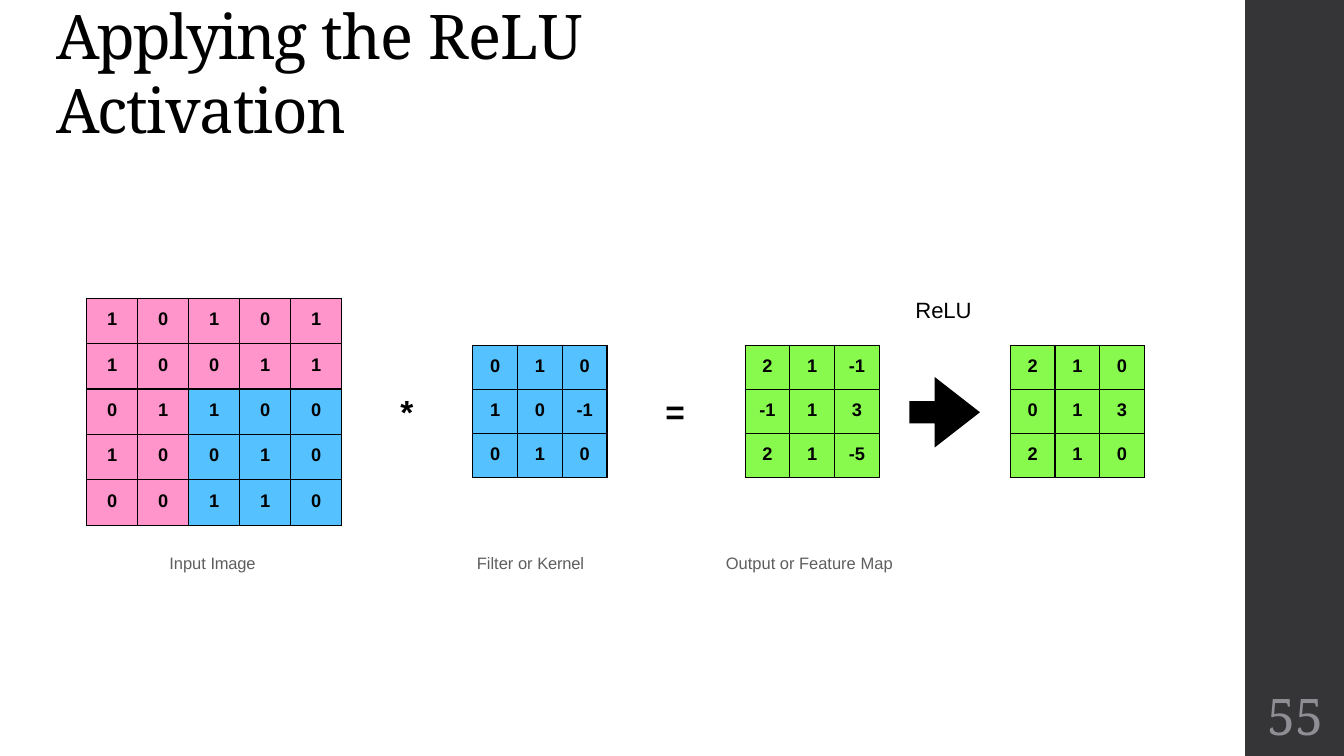
from lxml import etree
from pptx import Presentation
from pptx.dml.color import RGBColor
from pptx.enum.shapes import MSO_SHAPE
from pptx.enum.text import MSO_ANCHOR, PP_ALIGN
from pptx.oxml.ns import qn
from pptx.util import Inches, Pt

# Content
PINK, BLUE, GREEN, BLACK, GREY = "FF95CA", "56C1FF", "88FA4E", "000000", "5E5E5E"
SIDEBAR = (12.35, 0, 1, 7.5)
SIDEBAR_COLOR = "353537"

OPERATOR = {"size": 23.9, "bold": True}
CAPTION = {"size": 11.8, "color": GREY}
# place, runs of (text, letter spacing in points), format
TEXTS = [
    ((0.56, 0.29, 6.97, 0.79),
     [("Applying ", -1.5), ("the ReLU ", -0.5), ("Activation", -0.9)],
     {"size": 44, "font": "Noto Serif", "anchor": MSO_ANCHOR.MIDDLE, "top": 0.05}),
    ((3.97, 3.87, 0.15, 0.41), [("*", 0.1)], OPERATOR),
    ((6.6, 3.87, 0.22, 0.41), [("=", -0.3)], OPERATOR),
    ((1.68, 5.48, 0.9, 0.21), [("Input ", 0), ("Image", -0.1)], CAPTION),
    ((4.73, 5.48, 1.11, 0.21), [("Filter or ", 0), ("Kernel", -0.1)], CAPTION),
    ((7.2, 5.48, 1.72, 0.21), [("Output or Feature ", 0), ("Map", 0.1)], CAPTION),
    ((9.08, 2.93, 0.57, 0.28), [("ReLU", -0.1)], {"size": 15.8}),
    ((12.35, 6.75, 1, 0.65), [("55", 0)],
     {"size": 36, "font": "Noto Serif", "color": "8E8E94", "top": 0.05,
      "anchor": MSO_ANCHOR.MIDDLE, "align": PP_ALIGN.CENTER}),
]

INPUT_IMAGE = [[1, 0, 1, 0, 1], [1, 0, 0, 1, 1], [0, 1, 1, 0, 0],
               [1, 0, 0, 1, 0], [0, 0, 1, 1, 0]]
KERNEL = [[0, 1, 0], [1, 0, -1], [0, 1, 0]]
FEATURE_MAP = [[2, 1, -1], [-1, 1, 3], [2, 1, -5]]
ACTIVATED = [[max(0, value) for value in row] for row in FEATURE_MAP]
WINDOW_START = 2  # first row and column of the highlighted input window

# matrix, place, top cell margin, cell colour, colour of the window
MATRICES = [
    (INPUT_IMAGE, (0.86, 2.96, 2.53, 2.25), 0.11, PINK, BLUE),
    (KERNEL, (4.69, 3.43, 1.33, 1.31), 0.1, BLUE, BLUE),
    (FEATURE_MAP, (7.39, 3.43, 1.33, 1.31), 0.1, GREEN, GREEN),
    (ACTIVATED, (10.02, 3.43, 1.33, 1.31), 0.1, GREEN, GREEN),
]
ARROW = [(9.27, 3.74), (9.27, 3.98), (9.02, 3.98), (9.02, 4.2),
         (9.27, 4.2), (9.27, 4.44), (9.72, 4.09)]


def paint(fill, color):
    fill.solid()
    fill.fore_color.rgb = RGBColor.from_string(color)


def paint_plain(shape, color):
    paint(shape.fill, color)
    shape.line.fill.background()
    shape.shadow.inherit = False


def write(paragraph, runs, size, font="Arial", color=BLACK, bold=False,
          align=PP_ALIGN.LEFT):
    paragraph.alignment = align
    for text, spacing in runs:
        run = paragraph.add_run()
        run.text = text
        for name, value in {"size": Pt(size), "name": font, "bold": bold}.items():
            setattr(run.font, name, value)
        paint(run.font.fill, color)
        run.font._element.set("spc", str(round(spacing * 100)))


def add_text(slide, place, runs, anchor=MSO_ANCHOR.TOP, top=0.01, **style):
    frame = slide.shapes.add_textbox(*map(Inches, place)).text_frame
    settings = {"word_wrap": True, "vertical_anchor": anchor, "margin_left": 0,
                "margin_right": 0, "margin_top": Inches(top), "margin_bottom": 0}
    for name, value in settings.items():
        setattr(frame, name, value)
    write(frame.paragraphs[0], runs, **style)


def add_borders(cell):
    properties = cell._tc.get_or_add_tcPr()
    for side in ("a:lnL", "a:lnR", "a:lnT", "a:lnB"):
        line = etree.SubElement(properties, qn(side), w=str(Pt(1)))
        fill = etree.SubElement(line, qn("a:solidFill"))
        etree.SubElement(fill, qn("a:srgbClr"), val=BLACK)


def digit_runs(value):
    if value < 0:
        return [("-", 0), (str(-value), 0.3)]
    return [(str(value), -0.5)]


def add_matrix(slide, matrix, place, top, color, window_color):
    count = len(matrix)
    table = slide.shapes.add_table(count, count, *map(Inches, place)).table
    table.first_row = table.horz_banding = False
    for column in table.columns:
        column.width = Inches(place[2] / count)
    for row in table.rows:
        row.height = Inches(place[3] / count)
    margins = {"margin_left": 0, "margin_right": 0,
               "margin_top": Inches(top), "margin_bottom": 0}
    for i, values in enumerate(matrix):
        for j, value in enumerate(values):
            cell = table.cell(i, j)
            for name, margin in margins.items():
                setattr(cell, name, margin)
            add_borders(cell)
            paint(cell.fill, window_color if min(i, j) >= WINDOW_START else color)
            write(cell.text_frame.paragraphs[0], digit_runs(value), size=13,
                  bold=True, align=PP_ALIGN.CENTER)


def main():
    presentation = Presentation()
    presentation.slide_width = Inches(13.33)
    presentation.slide_height = Inches(7.5)
    slide = presentation.slides.add_slide(presentation.slide_layouts[6])

    # Sidebar
    sidebar = slide.shapes.add_shape(MSO_SHAPE.RECTANGLE, *map(Inches, SIDEBAR))
    paint_plain(sidebar, SIDEBAR_COLOR)

    # Matrices
    for matrix in MATRICES:
        add_matrix(slide, *matrix)

    # Arrow to the activated map
    start, *corners = [(Inches(x), Inches(y)) for x, y in ARROW]
    builder = slide.shapes.build_freeform(*start)
    builder.add_line_segments(corners, close=True)
    paint_plain(builder.convert_to_shape(), BLACK)

    # Title, operators, captions and page number
    for place, runs, style in TEXTS:
        add_text(slide, place, runs, **style)

    presentation.save("out.pptx")


if __name__ == "__main__":
    main()
